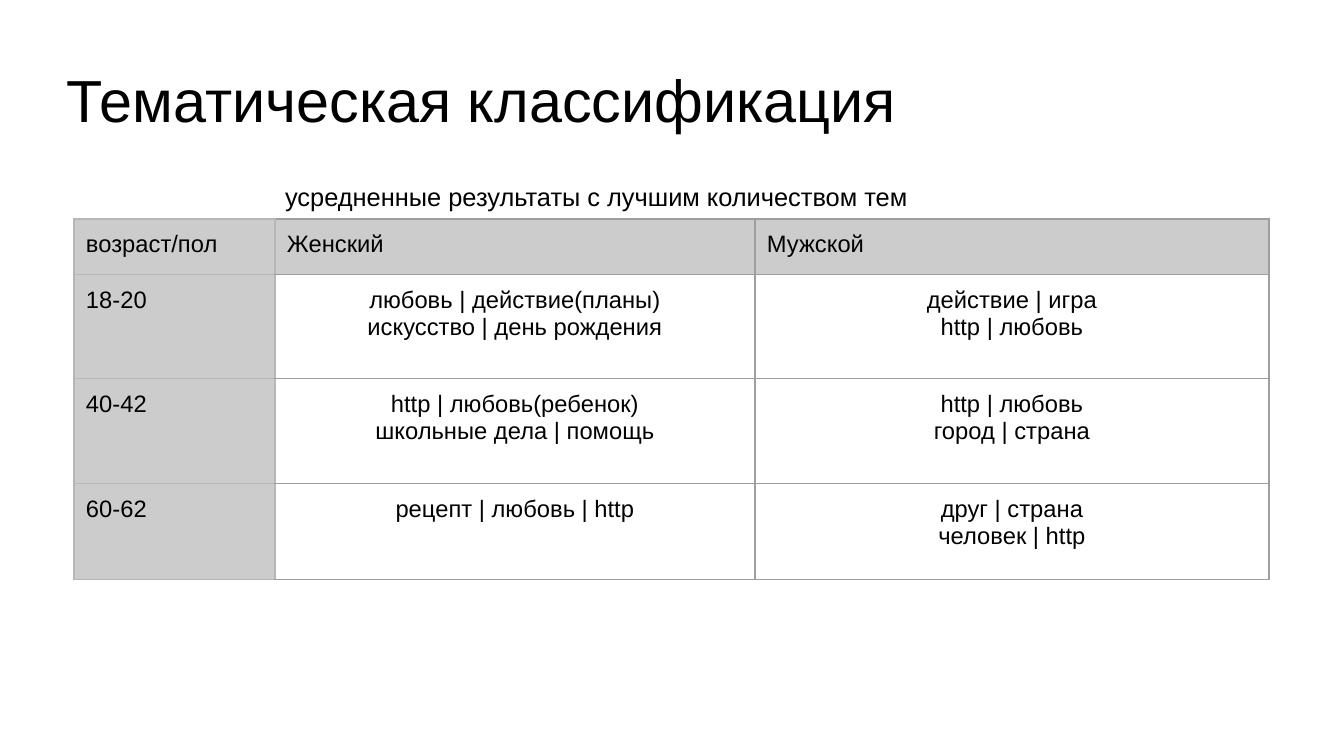
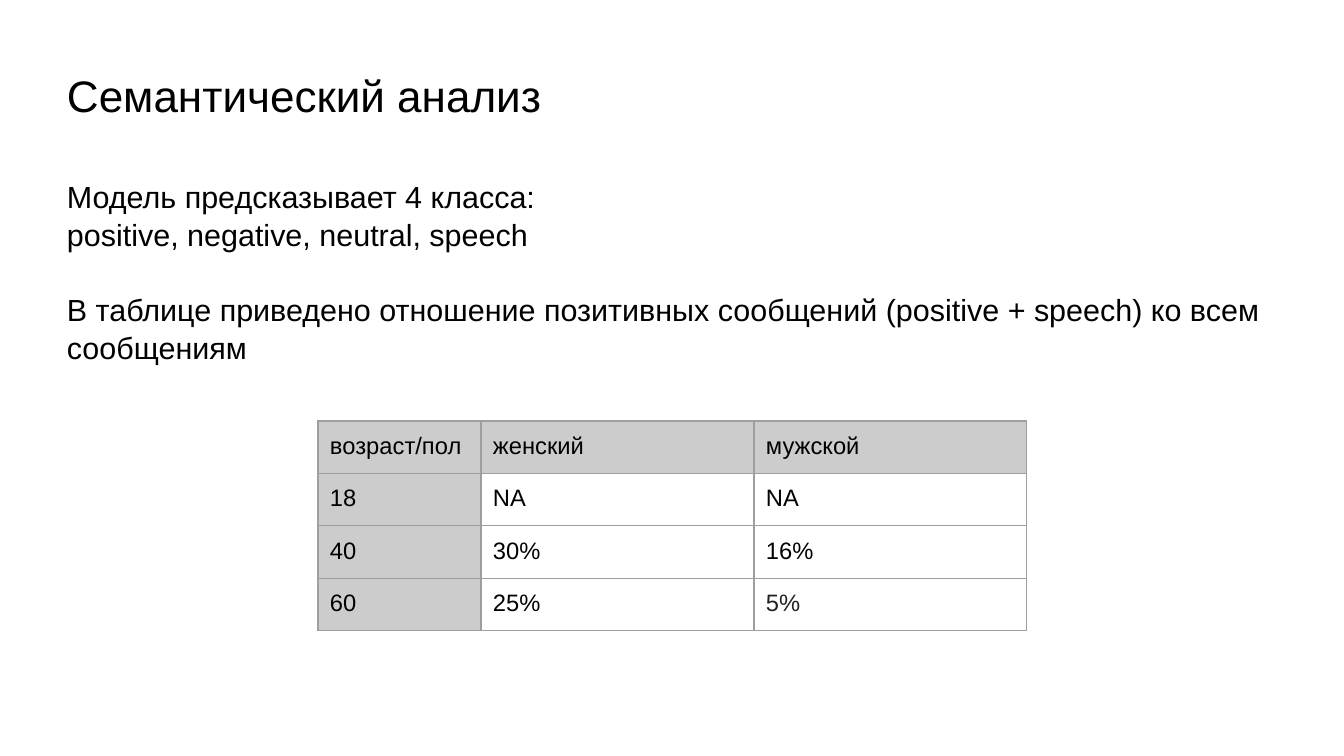
from dataclasses import dataclass

from lxml.etree import SubElement
from pptx import Presentation
from pptx.dml.color import RGBColor as RGB
from pptx.enum.text import MSO_ANCHOR as Anchor, PP_ALIGN as Align
from pptx.oxml.ns import qn
from pptx.util import Emu, Pt


@dataclass(frozen=True)
class Theme:
    font: str = "Arial"
    text: str = "000000"
    soft_text: str = "202124"
    header_fill: str = "CCCCCC"
    line: str = "9E9E9E"
    light_line: str = "B7B7B7"
    line_width: float = 0.75
    title: int = 35
    small_title: int = 26
    body: int = 18
    caption: int = 15
    cell: int = 14


THEME = Theme()
PX = 7495  # EMU in one px
SLIDE_SIZE = (1344, 756)
LEFT = 67
TITLE_SIZE = (1210, 127)
CELL_MARGIN = 12

TOPICS_TITLE = "Тематическая классификация"
TOPICS_CAPTION = "усредненные результаты с лучшим количеством тем"
TOPICS = [
    ("возраст/пол", "Женский", "Мужской"),
    ("18-20", "любовь | действие(планы)\nискусство | день рождения",
     "действие | игра\nhttp | любовь"),
    ("40-42", "http | любовь(ребенок)\nшкольные дела | помощь",
     "http | любовь\nгород | страна"),
    ("60-62", "рецепт | любовь | http", "друг | страна\nчеловек | http"),
]

SENTIMENT_TITLE = "Семантический анализ"
SENTIMENT_BODY = [
    "Модель предсказывает 4 класса:",
    "positive, negative, neutral, speech",
    "В таблице приведено отношение позитивных сообщений (positive + speech) ко всем сообщениям",
]
SENTIMENT = [
    ("возраст/пол", "женский", "мужской"),
    ("18", "NA", "NA"),
    ("40", "30%", "16%"),
    ("60", "25%", "5%"),
]


def px(n):
    return Emu(n * PX)


def style(p, size, color=THEME.text, align=Align.LEFT):
    p.font.name = THEME.font
    p.font.size = Pt(size)
    p.font.color.rgb = RGB.from_string(color)
    p.alignment = align


def add_text(s, box, lines, size, anchor=Anchor.TOP):
    tf = s.shapes.add_textbox(*map(px, box)).text_frame
    tf.word_wrap = True
    tf.vertical_anchor = anchor
    tf.margin_left = tf.margin_top = tf.margin_right = tf.margin_bottom = 0
    tf.text = "\n".join(lines)
    for p in tf.paragraphs:
        style(p, size)
    return tf


def add_title(s, text, top, size):
    add_text(s, (LEFT, top, *TITLE_SIZE), [text], size, Anchor.MIDDLE)


def set_borders(cell, colors):
    """Draw the left, right, top and bottom borders in the given colours."""
    tcPr = cell._tc.get_or_add_tcPr()
    for side, color in zip("LRTB", colors):
        ln = SubElement(tcPr, qn(f"a:ln{side}"), w=str(Pt(THEME.line_width)))
        fill = SubElement(ln, qn("a:solidFill"))
        SubElement(fill, qn("a:srgbClr"), val=color)


def add_table(s, left, top, widths, heights, rows, side_line=THEME.line,
              value_align=Align.LEFT, soft_cells=()):
    """Add a table with a grey header row and a grey first column."""
    frame = s.shapes.add_table(len(rows), len(widths), px(left), px(top),
                               px(sum(widths)), px(sum(heights)))
    table = frame.table
    table.horz_banding = table.first_row = False
    for column, width in zip(table.columns, widths):
        column.width = px(width)
    for row, height in zip(table.rows, heights):
        row.height = px(height)

    for i, row in enumerate(rows):
        for j, text in enumerate(row):
            cell = table.cell(i, j)
            is_header = i == 0 or j == 0
            left_line = side_line if j <= 1 else THEME.line
            other_line = side_line if j == 0 else THEME.line
            set_borders(cell, [left_line] + [other_line] * 3)
            if is_header:
                cell.fill.solid()
                cell.fill.fore_color.rgb = RGB.from_string(THEME.header_fill)
            else:
                cell.fill.background()
            cell.margin_left = cell.margin_right = px(CELL_MARGIN)
            cell.margin_top = cell.margin_bottom = px(CELL_MARGIN)
            cell.text = text
            color = THEME.soft_text if (i, j) in soft_cells else THEME.text
            for p in cell.text_frame.paragraphs:
                style(p, THEME.cell, color, Align.LEFT if is_header else value_align)


def build_topics(s):
    add_text(s, (285, 181, 960, 32), [TOPICS_CAPTION], THEME.caption)
    add_title(s, TOPICS_TITLE, 35, THEME.title)
    add_table(s, 74, 219, (201, 480, 514), (56, 104, 105, 96), TOPICS,
              THEME.light_line, Align.CENTER)


def build_sentiment(s):
    add_title(s, SENTIMENT_TITLE, 31, THEME.small_title)
    tf = add_text(s, (LEFT, 177, 1264, 220), SENTIMENT_BODY, THEME.body)
    for p in tf.paragraphs:
        p.line_spacing = 1.04
    tf.paragraphs[-1].space_before = px(37)
    add_table(s, 318, 421, (163, 273, 273), [51] * len(SENTIMENT), SENTIMENT,
              soft_cells={(3, 2)})


def main():
    prs = Presentation()
    prs.slide_width, prs.slide_height = map(px, SLIDE_SIZE)
    for build in (build_topics, build_sentiment):
        build(prs.slides.add_slide(prs.slide_layouts[6]))
    prs.save("out.pptx")


if __name__ == "__main__":
    main()
